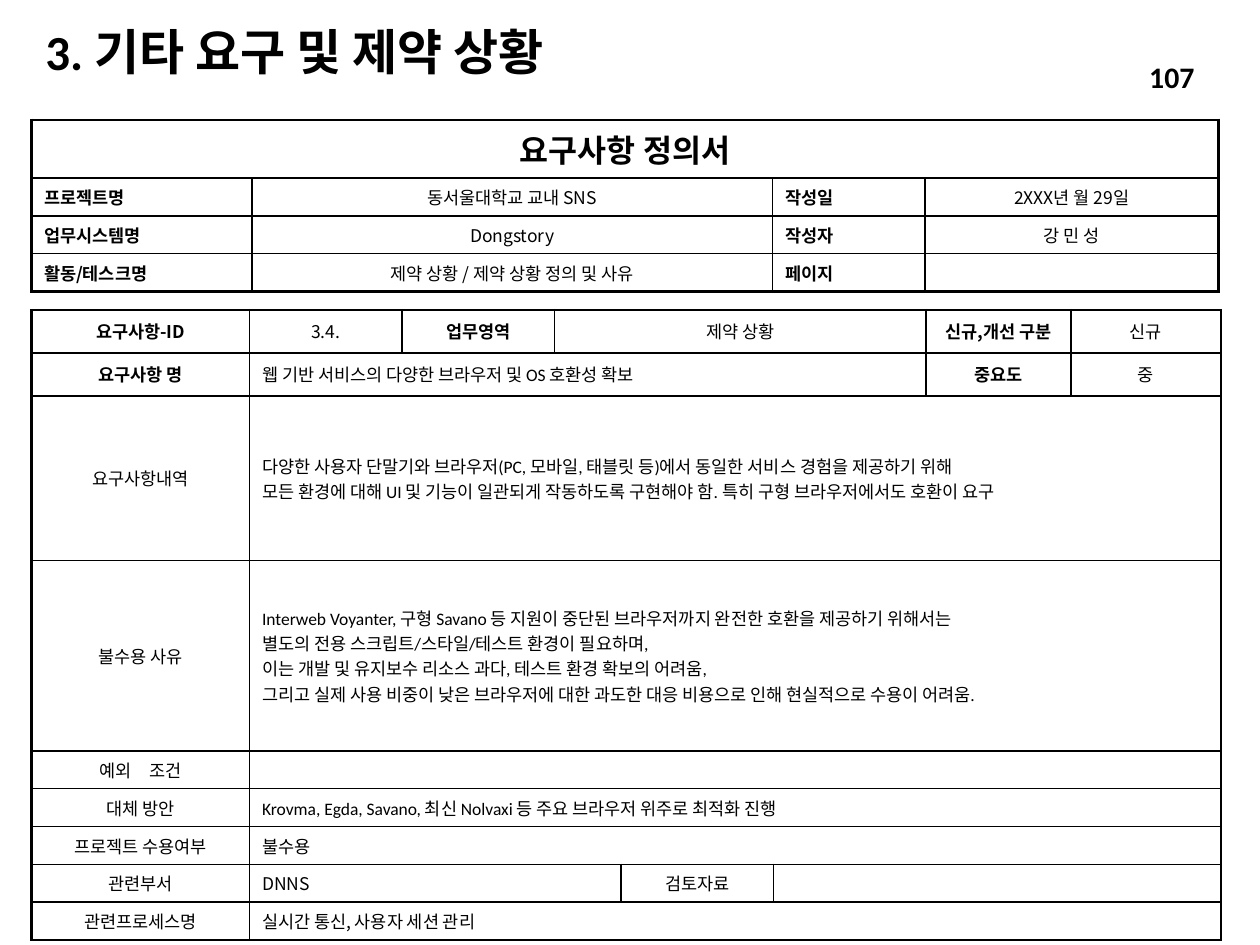
from dataclasses import dataclass

import lxml.etree
import pptx
import pptx.dml.color
import pptx.enum.text
import pptx.oxml.ns
import pptx.util

Pt = pptx.util.Pt
qn = pptx.oxml.ns.qn
ALIGN = pptx.enum.text.PP_ALIGN
ANCHOR = pptx.enum.text.MSO_ANCHOR


@dataclass(frozen=True)
class Theme:
    ink: pptx.dml.color.RGBColor = pptx.dml.color.RGBColor(0, 0, 0)
    latin: str = "Calibri"
    korean: str = "Noto Sans CJK KR"
    title: float = 28
    heading: float = 18
    number: float = 17
    body: float = 10
    thin: float = 1
    thick: float = 1.5
    plain_table: str = "{2D5ABB26-0587-4C30-8999-92F81FD0307C}"


THEME = Theme()


@dataclass(frozen=True)
class Item:
    text: str = ""
    span: int = 1
    bold: bool = False
    align: ALIGN = ALIGN.CENTER
    font: str = THEME.korean
    size: float = THEME.body


def label(text, align=ALIGN.CENTER):
    return Item(text, bold=True, align=align)


def field(text):
    return label(text, ALIGN.JUSTIFY)


def wide(text, span=7, font=THEME.latin):
    return Item(text, span, align=ALIGN.LEFT, font=font)


FORM_COLS = [126, 297.4, 87.1, 167.8]
FORM_ROWS = [33.1, 19.4, 19.4, 19.4]
FORM = [
    [Item("요구사항 정의서", 4, True, size=THEME.heading)],
    [field("프로젝트명"), Item("동서울대학교 교내 SNS"), field("작성일"), Item("2XXX년 월 29일")],
    [field("업무시스템명"), Item("Dongstory"), field("작성자"), Item("강 민 성")],
    [field("활동/테스크명"), Item("제약 상황 / 제약 상황 정의 및 사유"), field("페이지"), Item()],
]

DETAIL_COLS = [124.6, 87.1, 87.1, 38.2, 87.1, 87.1, 82.8, 85.7]
DETAIL_ROWS = [24.5, 24.5, 94.3, 108.7] + [19.4] * 5
DETAIL = [
    [label("요구사항-ID"), Item("3.4."), label("업무영역"), Item("제약 상황", 3),
     label("신규,개선 구분"), Item("신규")],
    [label("요구사항 명"), wide("웹 기반 서비스의 다양한 브라우저 및 OS 호환성 확보", 5),
     label("중요도"), Item("중")],
    [Item("요구사항내역"), wide(
        "다양한 사용자 단말기와 브라우저(PC, 모바일, 태블릿 등)에서 동일한 서비스 경험을 제공하기 위해\n"
        "모든 환경에 대해 UI 및 기능이 일관되게 작동하도록 구현해야 함. 특히 구형 브라우저에서도 호환이 요구")],
    [Item("불수용 사유"), wide(
        "Interweb Voyanter, 구형 Savano 등 지원이 중단된 브라우저까지 완전한 호환을 제공하기 위해서는\n"
        "별도의 전용 스크립트/스타일/테스트 환경이 필요하며,\n"
        "이는 개발 및 유지보수 리소스 과다, 테스트 환경 확보의 어려움,\n"
        "그리고 실제 사용 비중이 낮은 브라우저에 대한 과도한 대응 비용으로 인해 현실적으로 수용이 어려움.")],
    [Item("예외　조건"), wide("")],
    [Item("대체 방안"), wide("Krovma, Egda, Savano, 최신 Nolvaxi 등 주요 브라우저 위주로 최적화 진행")],
    [Item("프로젝트 수용여부"), wide("불수용", font=THEME.korean)],
    [Item("관련부서"), wide("DNNS", 3, THEME.korean), Item("검토자료"), wide("", 3)],
    [Item("관련프로세스명"), wide("실시간 통신, 사용자 세션 관리", font=THEME.korean)],
]


def add_run(p, text, size, font, bold):
    r = p.add_run()
    r.text = text
    r.font.size = Pt(size)
    r.font.name = font
    r.font.bold = bold
    r.font.color.rgb = THEME.ink
    ea = lxml.etree.SubElement(r._r.get_or_add_rPr(), qn("a:ea"))
    ea.set("typeface", THEME.korean)


def place(sp, left, top, width, height):
    sp.left, sp.top, sp.width, sp.height = (Pt(v) for v in (left, top, width, height))


def write_line(sp, text, size, align):
    tf = sp.text_frame
    tf.word_wrap = True
    tf.auto_size = pptx.enum.text.MSO_AUTO_SIZE.NONE
    tf.vertical_anchor = ANCHOR.MIDDLE
    p = tf.paragraphs[0]
    p.alignment = align
    add_run(p, text, size, THEME.latin, True)
    return p


def fill_cell(cell, item, anchor):
    cell.vertical_anchor = anchor
    cell.margin_left = cell.margin_right = Pt(7.2)
    cell.margin_top = cell.margin_bottom = Pt(3.6)
    p = cell.text_frame.paragraphs[0]
    p.alignment = item.align
    if not item.text:
        end = lxml.etree.SubElement(p._p, qn("a:endParaRPr"))
        end.set("sz", str(int(item.size * 100)))
        return
    for i, line in enumerate(item.text.split("\n")):
        if i:
            p.add_line_break()
        add_run(p, line, item.size, item.font, item.bold)


def border_cell(cell, left, right, top, bottom):
    tc_pr = cell._tc.get_or_add_tcPr()
    for side, thick in zip("LRTB", (left, right, top, bottom)):
        ln = lxml.etree.SubElement(tc_pr, qn(f"a:ln{side}"))
        ln.set("w", str(Pt(THEME.thick if thick else THEME.thin)))
        solid = lxml.etree.SubElement(ln, qn("a:solidFill"))
        lxml.etree.SubElement(solid, qn("a:srgbClr")).set("val", str(THEME.ink))
    cell.fill.background()


def add_grid(slide, left, top, cols, heights, rows, thick_rules, anchors):
    frame = slide.shapes.add_table(len(rows), len(cols), Pt(left), Pt(top),
                                   Pt(sum(cols)), Pt(sum(heights)))
    table = frame.table
    table.first_row = table.horz_banding = False
    table._tbl.tblPr.find(qn("a:tableStyleId")).text = THEME.plain_table
    for col, width in zip(table.columns, cols):
        col.width = Pt(width)
    for y, (items, height) in enumerate(zip(rows, heights)):
        table.rows[y].height = Pt(height)
        x = 0
        for item in items:
            cell = table.cell(y, x)
            end = x + item.span
            if item.span > 1:
                cell.merge(table.cell(y, end - 1))
            fill_cell(cell, item, anchors[y])
            border_cell(cell, x == 0, end == len(cols), y in thick_rules, y + 1 in thick_rules)
            x = end


def main():
    prs = pptx.Presentation()
    prs.slide_width, prs.slide_height = Pt(720), Pt(540)
    s = prs.slides.add_slide(prs.slide_layouts[5])

    title = s.shapes.title
    place(title, 18.7, 15.1, 385.9, 31.7)
    p = write_line(title, "3. 기타 요구 및 제약 상황", THEME.title, ALIGN.LEFT)
    p.line_spacing = 0.9

    add_grid(s, 18, 177.1, DETAIL_COLS, DETAIL_ROWS, DETAIL, {0, 1, 2, len(DETAIL)},
             [ANCHOR.MIDDLE] * len(DETAIL))
    add_grid(s, 18, 68.4, FORM_COLS, FORM_ROWS, FORM, {0, len(FORM)},
             [ANCHOR.MIDDLE] + [ANCHOR.TOP] * 3)

    number = s.shapes.add_textbox(Pt(573.1), Pt(29.5), Pt(116.6), Pt(28.8))
    write_line(number, "107", THEME.number, ALIGN.RIGHT)

    prs.save("out.pptx")


if __name__ == "__main__":
    main()
